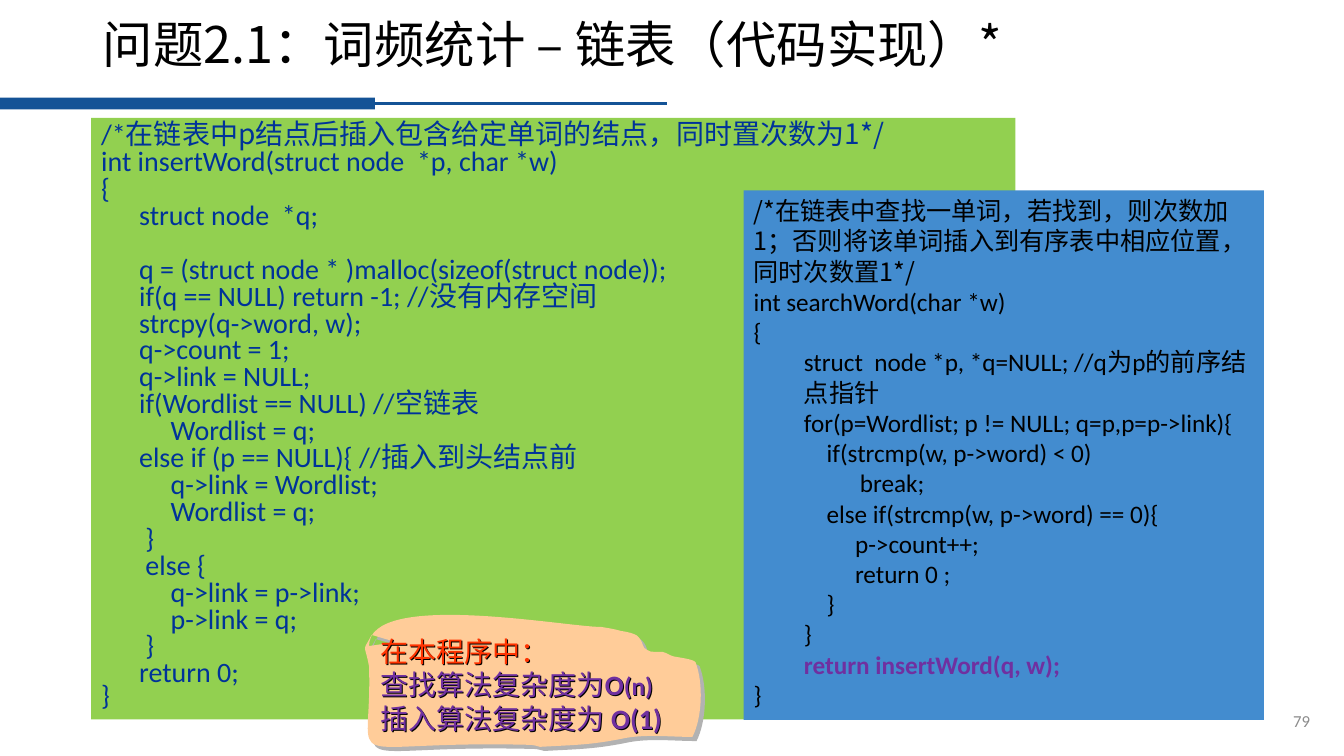
"""Build the slide on inserting and searching words in a linked list."""
import pptx
import pptx.dml.color
import pptx.enum.shapes
import pptx.enum.text
import pptx.oxml
import pptx.oxml.ns
import pptx.util
from dataclasses import dataclass

Cm, Pt = pptx.util.Cm, pptx.util.Pt
ANCHOR = pptx.enum.text.MSO_ANCHOR
ALIGN = pptx.enum.text.PP_ALIGN
RECTANGLE = pptx.enum.shapes.MSO_SHAPE.RECTANGLE


@dataclass(frozen=True)
class Theme:
    """Colours, fonts and type sizes."""
    latin: str = "Calibri"
    chinese: str = "Noto Sans CJK SC"
    black: str = "000000"
    grey: str = "8C8C8C"
    rule: str = "145396"
    green: str = "92D050"
    navy: str = "003399"
    blue: str = "438CCF"
    purple: str = "7030A0"
    red: str = "FF3300"
    peach: str = "FFCC99"
    shade: str = "B2B2B2"
    title: int = 36
    insert: int = 20
    search: int = 18
    note: int = 20
    note_small: int = 18
    number: int = 12


THEME = Theme()
CHINESE = {"font": THEME.chinese}
BOLD = {"bold": True}
PURPLE = {"color": THEME.purple}
PURPLE_BOLD = {**PURPLE, **BOLD}

TITLE = "问题2.1：词频统计 – 链表（代码实现）*"
PAGE_NUMBER = "79"

INSERT_HEADING = [("/*", {}), ("在链表中p结点后插入包含给定单词的结点，同时置次数为1*/", CHINESE)]
INSERT_CODE = """int insertWord(struct node  *p, char *w)
{
      struct node  *q;

      q = (struct node * )malloc(sizeof(struct node));
      if(q == NULL) return -1; //没有内存空间
      strcpy(q->word, w);
      q->count = 1;
      q->link = NULL;
      if(Wordlist == NULL) //空链表
           Wordlist = q;
      else if (p == NULL){ //插入到头结点前
           q->link = Wordlist;
           Wordlist = q;
       }
       else {
           q->link = p->link;
           p->link = q;
       }
      return 0;
}"""

SEARCH_CODE = [
    (0, "/*在链表中查找一单词，若找到，则次数加1；否则将该单词插入到有序表中相应位置，同时次数置1*/", CHINESE),
    (0, "int searchWord(char *w)", {}),
    (0, "{", {}),
    (1, "struct  node *p, *q=NULL; //q为p的前序结点指针", {}),
    (1, "for(p=Wordlist; p != NULL; q=p,p=p->link){", {}),
    (1, "    if(strcmp(w, p->word) < 0)", {}),
    (2, " break;", {}),
    (1, "    else if(strcmp(w, p->word) == 0){", {}),
    (1, "         p->count++;", {}),
    (1, "         return 0 ;", {}),
    (1, "    }", {}),
    (1, "}", {}),
    (1, "return insertWord(q, w);", PURPLE_BOLD),
    (0, "}", {}),
]

NOTE = [
    [("在本程序中：", {"color": THEME.red})],
    [("查找算法复杂度为", PURPLE), ("O", PURPLE_BOLD),
     ("(n)", {**PURPLE_BOLD, "size": THEME.note_small})],
    [("插入算法复杂度为 ", PURPLE), ("O(1)", PURPLE_BOLD)],
]

BLOB_START = (9.37, 16.0)
BLOB_CURVES = [
    ((9.12, 16.46), (9.19, 16.18), (9.3, 16.79)),
    ((9.4, 19.58), (8.33, 18.64), (13.36, 18.77)),
    ((13.44, 18.77), (13.54, 18.8), (13.61, 18.82)),
    ((14.53, 18.77), (14.88, 18.77), (15.65, 18.62)),
    ((16.23, 18.49), (16.84, 18.57), (17.45, 18.57)),
    ((17.7, 18.08), (17.73, 17.22), (17.53, 16.69)),
    ((17.5, 16.61), (17.04, 16.56), (16.97, 16.54)),
    ((16.87, 16.51), (16.81, 16.46), (16.71, 16.43)),
    ((16.59, 16.41), (16.41, 16.46), (16.31, 16.38)),
    ((16.18, 16.33), (16.21, 16.2), (16.13, 16.1)),
    ((16.08, 15.98), (15.85, 15.93), (15.65, 15.9)),
    ((15.49, 15.85), (15.16, 15.8), (15.16, 15.8)),
    ((14.25, 15.8), (9.3, 14.86), (9.3, 16.28)),
]
BLOB_END = (9.98, 16.18)


def rgb(color):
    return pptx.dml.color.RGBColor.from_string(color)


def set_shadow(shape, color, distance):
    shape.shadow.inherit = False
    effects = shape._element.spPr.find(pptx.oxml.ns.qn("a:effectLst"))
    effects.append(pptx.oxml.parse_xml(
        f'<a:outerShdw {pptx.oxml.ns.nsdecls("a")} dist="{Pt(distance)}" dir="2700000" '
        f'algn="ctr"><a:srgbClr val="{color}"/></a:outerShdw>'))


def paint(shape, color):
    shape.shadow.inherit = False
    shape.fill.solid()
    shape.fill.fore_color.rgb = rgb(color)
    shape.line.fill.background()


def add_panel(page, bounds, color):
    panel = page.shapes.add_shape(RECTANGLE, *map(Cm, bounds))
    paint(panel, color)
    return panel


def add_box(page, bounds):
    return page.shapes.add_textbox(*map(Cm, bounds))


def add_blob(page):
    points = [point for curve in BLOB_CURVES for point in curve] + [BLOB_END]
    outline = page.shapes.build_freeform(*map(Cm, BLOB_START))
    outline.add_line_segments([tuple(map(Cm, point)) for point in points], close=False)
    blob = outline.convert_to_shape()
    qn = pptx.oxml.ns.qn
    segments = list(blob._element.iter(qn("a:lnTo")))
    for first in range(0, 3 * len(BLOB_CURVES), 3):
        curve = segments[first].makeelement(qn("a:cubicBezTo"), {})
        segments[first].addprevious(curve)
        for segment in segments[first:first + 3]:
            curve.append(segment[0])
            segment.getparent().remove(segment)
    paint(blob, THEME.peach)
    set_shadow(blob, THEME.shade, 4.2)


def write(shape, lines, size, color, font=THEME.latin, align=ALIGN.LEFT, anchor=ANCHOR.TOP):
    frame = shape.text_frame
    frame.word_wrap = True
    frame.vertical_anchor = anchor
    for index, (spans, spacing, indent, gap) in enumerate(lines):
        para = frame.paragraphs[0] if index == 0 else frame.add_paragraph()
        para.alignment = align
        para.line_spacing = spacing
        if gap:
            para.space_before = Pt(gap)
        if indent:
            para.level = indent
            properties = para._p.get_or_add_pPr()
            properties.set("marL", str(Cm(1.27 * indent)))
            properties.set("indent", "0")
        for text, style in spans:
            span = para.add_run()
            span.text = text
            span.font.size = Pt(style.get("size", size))
            span.font.bold = style.get("bold", False)
            span.font.color.rgb = rgb(style.get("color", color))
            span.font.name = style.get("font", font)
            span._r.rPr.append(span._r.rPr.makeelement(
                pptx.oxml.ns.qn("a:ea"), {"typeface": THEME.chinese}))


def insert_lines():
    lines, gap = [(INSERT_HEADING, 0.8, 0, 0)], 0
    for text in INSERT_CODE.split("\n"):
        if text:
            lines.append(([(text, {})], 0.65 if text == "}" else 0.8, 0, gap))
        gap = 0 if text else 19.5
    return lines


def main():
    deck = pptx.Presentation()
    deck.slide_width, deck.slide_height = Cm(33.87), Cm(19.05)
    page = deck.slides.add_slide(deck.slide_layouts[6])

    add_panel(page, (0, 2.46, 9.45, 0.3), THEME.rule)
    rule = page.shapes.add_connector(pptx.enum.shapes.MSO_CONNECTOR.STRAIGHT,
                                     Cm(9.35), Cm(2.6), Cm(16.81), Cm(2.6))
    rule.line.color.rgb = rgb(THEME.rule)
    rule.line.width = Pt(2.25)
    rule._element.spPr.append(pptx.oxml.parse_xml(f'<a:effectLst {pptx.oxml.ns.nsdecls("a")}/>'))

    write(add_box(page, (2.34, 0.43, 29.21, 1.52)), [([(TITLE, {})], 0.9, 0, 0)],
          THEME.title, THEME.black, font=THEME.chinese, anchor=ANCHOR.MIDDLE)
    write(add_box(page, (25.65, 17.65, 7.62, 1.02)), [([(PAGE_NUMBER, {})], 1.0, 0, 0)],
          THEME.number, THEME.grey, align=ALIGN.RIGHT, anchor=ANCHOR.MIDDLE)

    write(add_panel(page, (2.3, 2.97, 23.29, 15.16), THEME.green), insert_lines(),
          THEME.insert, THEME.navy)
    write(add_panel(page, (18.74, 4.8, 13.11, 13.34), THEME.blue),
          [([(text, style)], 1.0, indent, 0) for indent, text, style in SEARCH_CODE],
          THEME.search, THEME.black)

    add_blob(page)
    note = add_box(page, (9.34, 15.86, 8.33, 2.82))
    write(note, [(spans, 1.0, 0, 0) for spans in NOTE], THEME.note, THEME.purple)
    set_shadow(note, THEME.black, 1)

    deck.save("out.pptx")


if __name__ == "__main__":
    main()
